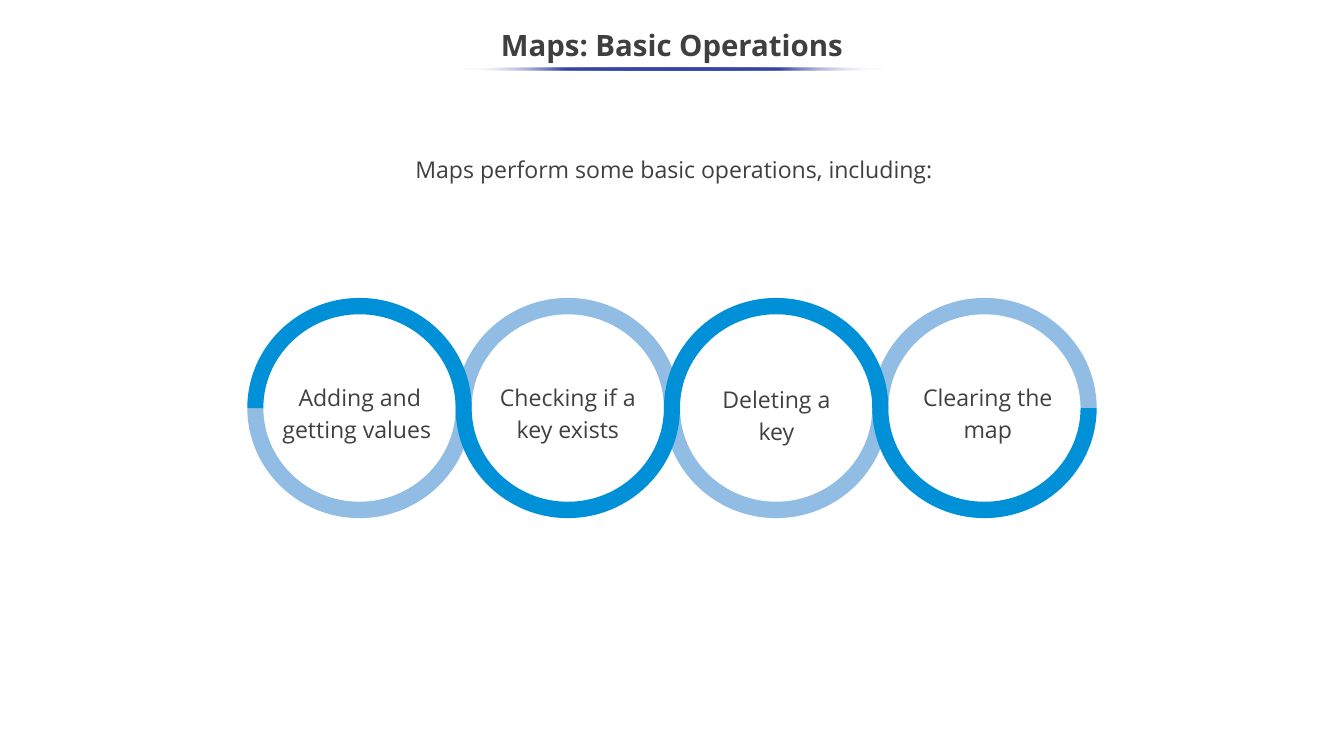
from dataclasses import dataclass

from lxml.etree import SubElement
from pptx import Presentation
from pptx.dml.color import RGBColor as Rgb
from pptx.enum.shapes import MSO_SHAPE as Shape
from pptx.enum.text import MSO_ANCHOR as Anchor, PP_ALIGN as Align
from pptx.oxml.ns import qn
from pptx.util import Cm, Pt


@dataclass(frozen=True)
class Theme:
    font: str = "Open Sans"
    ink: str = "3F3F3F"
    label: str = "404040"
    light: str = "91BCE3"
    dark: str = "0090D7"
    rule: str = "3645A9"
    clear: str = "FFFFFF"
    head: int = 28
    body: int = 22


@dataclass(frozen=True)
class Label:
    text: str
    left: float
    top: float = 12.62
    width: float = 5.26


THEME = Theme()
LABELS = (
    Label("Adding and getting values ", 9.17, width=5.84),
    Label("Checking if a key exists", 16.45),
    Label("Deleting a key", 23.46, top=12.69),
    Label("Clearing the map", 30.56),
)

# Ring chain, in centimetres
FIRST, PITCH, MID = 12.08, 7.0, 13.71
OUTER, INNER = (3.77, 3.7), (3.23, 3.15)
LEFT, TOP = FIRST - OUTER[0], MID - OUTER[1]
RIGHT = FIRST + PITCH * (len(LABELS) - 1) + OUTER[0]
BASE = MID + OUTER[1]
BEND = 0.55  # Bézier handle length for a quarter of an ellipse


def add_text(slide, text: str, box: tuple, *, size: int = THEME.body,
             color: str = THEME.ink, bold: bool = False, line: float = 1.14,
             anchor=Anchor.TOP, inset: tuple = (0.25, 0.13, 0.25, 0.13)) -> None:
    frame = slide.shapes.add_textbox(*map(Cm, box)).text_frame
    frame.word_wrap = True
    frame.vertical_anchor = anchor
    (frame.margin_left, frame.margin_top,
     frame.margin_right, frame.margin_bottom) = map(Cm, inset)
    para = frame.paragraphs[0]
    para.alignment = Align.CENTER
    para.line_spacing = line
    run = para.add_run()
    run.text = text
    font = run.font
    font.name, font.size, font.bold = THEME.font, Pt(size), bold
    font.color.rgb = Rgb.from_string(color)


def wave_edge(sign: int, odd: int) -> list[tuple[float, float]]:
    """One edge of a band: a start, then three points for each quarter arc."""
    wide = (INNER if odd else OUTER)[0]
    points = [(FIRST - wide, MID)]
    for i in range(len(LABELS)):
        wide, high = INNER if (i + odd) % 2 else OUTER
        side = sign if i % 2 else -sign
        arc = ((-1, BEND), (-BEND, 1), (0, 1), (BEND, 1), (1, BEND), (1, 0))
        points += [(FIRST + PITCH * i + wide * x, MID + side * high * y)
                   for x, y in arc]
    return points


def add_band(slide, sign: int, color: str) -> None:
    # Frame that spans the chain
    pen = slide.shapes.build_freeform(Cm(LEFT), Cm(TOP), scale=1.0)
    pen.add_line_segments([(Cm(RIGHT), Cm(TOP)), (Cm(RIGHT), Cm(BASE)),
                           (Cm(LEFT), Cm(BASE))])
    band = pen.convert_to_shape()
    band.shadow.inherit = False
    band.fill.solid()
    band.fill.fore_color.rgb = Rgb.from_string(color)
    band.line.fill.background()

    # Curved outline: out along one edge, back along the other
    track = next(band.element.iter(qn("a:path")))
    for part in list(track):
        track.remove(part)

    def draw(kind: str, points: list) -> None:
        node = SubElement(track, qn(kind))
        for x, y in points:
            SubElement(node, qn("a:pt"), x=str(Cm(x - LEFT)), y=str(Cm(y - TOP)))

    def curve(points: list) -> None:
        for i in range(1, len(points), 3):
            draw("a:cubicBezTo", points[i:i + 3])

    there, back = wave_edge(sign, 0), wave_edge(sign, 1)[::-1]
    draw("a:moveTo", there[:1])
    curve(there)
    draw("a:lnTo", back[:1])
    curve(back)
    SubElement(track, qn("a:close"))


def add_rule(slide, box: tuple) -> None:
    rule = slide.shapes.add_shape(Shape.OVAL, *map(Cm, box))
    rule.shadow.inherit = False
    rule.line.fill.background()
    rule.fill.gradient()
    rule.fill.gradient_angle = 180
    # Five stops, fading out at both ends
    stops = next(rule.element.iter(qn("a:gsLst")))
    for stop in list(stops):
        stops.remove(stop)
    for pos in (0, 25, 50, 75, 100):
        end = pos in (0, 100)
        stop = SubElement(stops, qn("a:gs"), pos=str(pos * 1000))
        tint = SubElement(stop, qn("a:srgbClr"),
                          val=THEME.clear if end else THEME.rule)
        if end:
            SubElement(tint, qn("a:alpha"), val="0")


def main() -> None:
    deck = Presentation()
    deck.slide_width, deck.slide_height = Cm(45.16), Cm(25.4)
    slide = deck.slides.add_slide(deck.slide_layouts[6])

    # Title
    add_text(slide, "Maps: Basic Operations", (-0.03, 0.64, 45.21, 1.9),
             size=THEME.head, bold=True, line=0.9, anchor=Anchor.MIDDLE)

    # Ring chain: the light band behind, its mirror image in front
    add_band(slide, -1, THEME.light)
    add_band(slide, 1, THEME.dark)
    for item in LABELS:
        add_text(slide, item.text, (item.left, item.top, item.width, 2.41),
                 color=THEME.label)

    # Title rule and lead sentence
    add_rule(slide, (15.39, 2.26, 14.38, 0.1))
    add_text(slide, "Maps perform some basic operations, including:",
             (4.37, 5.08, 35.28, 1.07), anchor=Anchor.MIDDLE,
             inset=(1.27, 0, 0, 0))

    deck.save("out.pptx")


if __name__ == "__main__":
    main()
